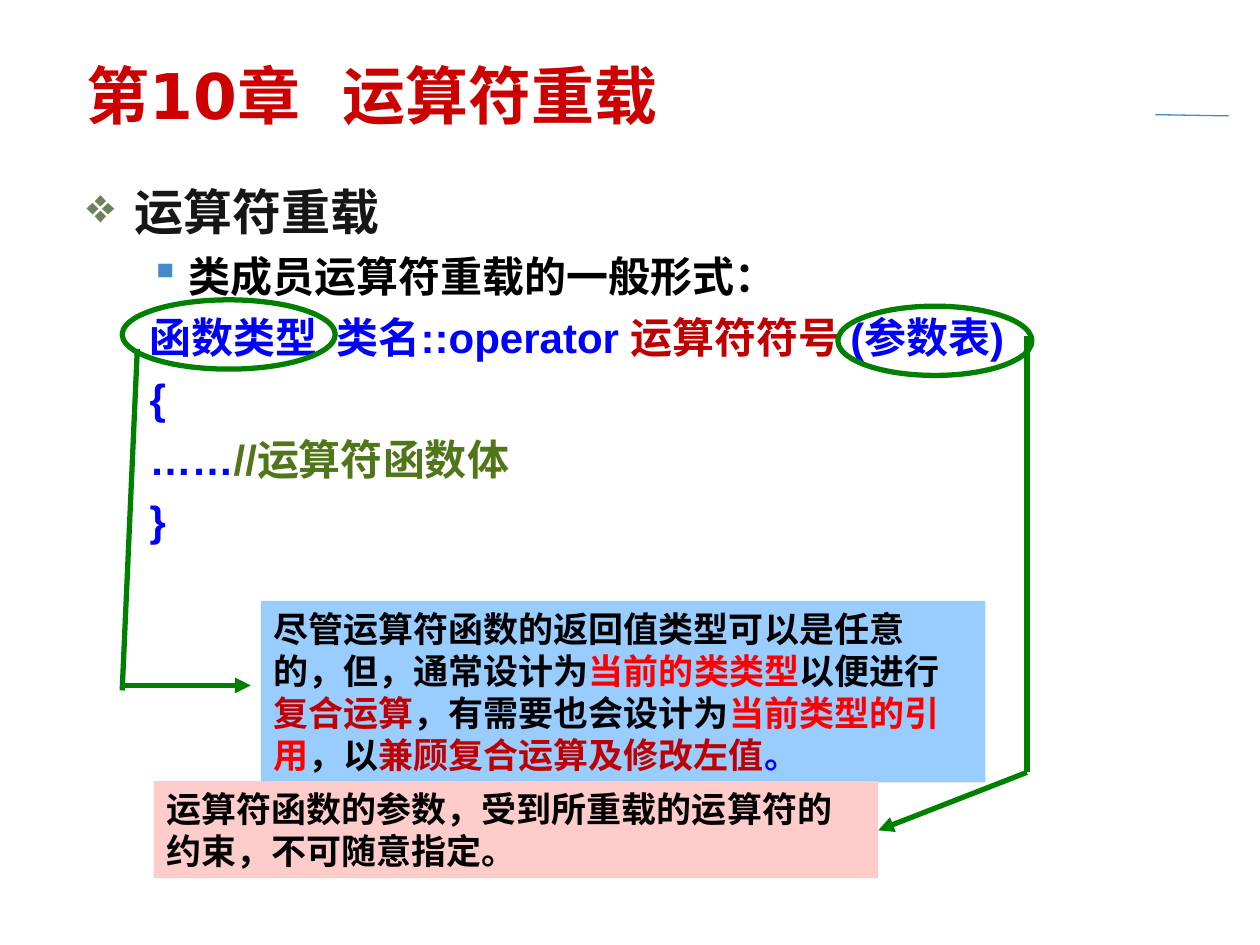
from lxml.etree import SubElement
from pptx import Presentation
from pptx.dml.color import RGBColor
from pptx.enum.shapes import MSO_CONNECTOR, MSO_SHAPE
from pptx.enum.text import MSO_ANCHOR, PP_ALIGN
from pptx.oxml.ns import qn
from pptx.util import Inches, Pt

BLACK = RGBColor(0x00, 0x00, 0x00)
CHARCOAL = RGBColor(0x16, 0x16, 0x16)
BLUE = RGBColor(0x00, 0x00, 0xFF)
RED = RGBColor(0xFF, 0x00, 0x00)
DARK_RED = RGBColor(0xC0, 0x00, 0x00)
TITLE_RED = RGBColor(0xCC, 0x00, 0x00)
OLIVE = RGBColor(0x50, 0x76, 0x19)
SAGE = RGBColor(0x6E, 0x81, 0x5B)
STEEL = RGBColor(0x43, 0x8A, 0xCB)
GREEN = RGBColor(0x00, 0x80, 0x00)
SKY = RGBColor(0x99, 0xCC, 0xFF)
PINK = RGBColor(0xFF, 0xCC, 0xCC)

TITLE = {"name": "DejaVu Sans", "size": Pt(36), "bold": True}
HEADING = {"name": "DejaVu Sans", "size": Pt(28), "bold": True}
CODE = {"name": "Arial", "size": Pt(24), "bold": True}
NOTE = {"name": "Arial", "size": Pt(20), "bold": True}
FRAME = {
    "word_wrap": True,
    "margin_left": Inches(0.1),
    "margin_right": Inches(0.1),
    "margin_top": Inches(0.05),
    "margin_bottom": Inches(0.05),
}


class SlideBuilder:
    """Draws styled elements on the current slide."""

    def __init__(self, slide):
        self.slide = slide

    def apply(self, target, values):
        for name, value in values.items():
            setattr(target, name, value)

    def paragraph(self, frame, runs, style, before=0, margin=0, indent=0, bullet=None):
        paragraph = frame.paragraphs[0]
        if paragraph.runs:
            paragraph = frame.add_paragraph()
        self.apply(paragraph, {"alignment": PP_ALIGN.LEFT, "space_before": Pt(before)})
        properties = paragraph._p.get_or_add_pPr()
        properties.set("marL", str(Inches(margin)))
        properties.set("indent", str(Inches(indent)))
        properties.set("hangingPunct", "0")
        if bullet:
            character, color = bullet
            bullet_color = SubElement(properties, qn("a:buClr"))
            SubElement(bullet_color, qn("a:srgbClr"), val=str(color))
            SubElement(properties, qn("a:buFont"), typeface="OpenSymbol")
            SubElement(properties, qn("a:buChar"), char=character)
        else:
            SubElement(properties, qn("a:buNone"))
        for text, color, *spacing in runs:
            run = paragraph.add_run()
            run.text = text
            self.apply(run.font, style)
            run.font.color.rgb = color
            for points in spacing:
                run._r.get_or_add_rPr().set("spc", str(round(points * 100)))

    def text_box(self, left, top, width, height, anchor=MSO_ANCHOR.TOP):
        shape = self.slide.shapes.add_textbox(
            Inches(left), Inches(top), Inches(width), Inches(height))
        self.apply(shape.text_frame, {**FRAME, "vertical_anchor": anchor})
        return shape.text_frame

    def note(self, left, top, width, height, fill, runs):
        shape = self.slide.shapes.add_shape(
            MSO_SHAPE.RECTANGLE, Inches(left), Inches(top), Inches(width), Inches(height))
        shape.shadow.inherit = False
        shape.fill.solid()
        shape.fill.fore_color.rgb = fill
        shape.line.fill.background()
        self.apply(shape.text_frame, {**FRAME, "vertical_anchor": MSO_ANCHOR.TOP})
        self.paragraph(shape.text_frame, runs, NOTE)

    def ring(self, left, top, width, height):
        shape = self.slide.shapes.add_shape(
            MSO_SHAPE.OVAL, Inches(left), Inches(top), Inches(width), Inches(height))
        shape.shadow.inherit = False
        shape.fill.background()
        shape.line.color.rgb = GREEN
        shape.line.width = Pt(3)

    def line(self, start, end, color=GREEN, width=3, arrow=False):
        connector = self.slide.shapes.add_connector(
            MSO_CONNECTOR.STRAIGHT, *(Inches(value) for value in (*start, *end)))
        connector.line.color.rgb = color
        connector.line.width = Pt(width)
        if arrow:
            SubElement(connector.line._get_or_add_ln(), qn("a:tailEnd"), type="triangle")
        SubElement(connector._element.spPr, qn("a:effectLst"))


def main():
    presentation = Presentation()
    presentation.slide_width = Inches(10)
    presentation.slide_height = Inches(7.5)
    slide = presentation.slides.add_slide(presentation.slide_layouts[6])
    builder = SlideBuilder(slide)

    builder.line((9.17, 0.91), (9.75, 0.92), STEEL, 0.75)

    body = builder.text_box(0.59, 1.39, 9.14, 5.36)
    builder.paragraph(body, [("运算符重载", CHARCOAL)], HEADING,
                      margin=0.38, indent=-0.38, bullet=("❖", SAGE))
    builder.paragraph(body, [("类成员运算符重载的一般形式：", BLACK)], CODE, before=6,
                      margin=0.81, indent=-0.31, bullet=("▪", STEEL))
    code_lines = [
        [("函数类型", BLUE), (" ", BLUE, 5.4), ("类名::operator ", BLUE),
         ("运算符符号 ", DARK_RED), ("(参数表)", BLUE)],
        [("{", BLUE)],
        [("……", BLUE), ("//运算符函数体", OLIVE)],
        [("}", BLUE)],
    ]
    for runs in code_lines:
        builder.paragraph(body, runs, CODE, before=6, margin=0.5)

    builder.ring(0.97, 2.38, 1.69, 0.55)
    builder.line((1.09, 2.77), (0.97, 5.48))
    builder.line((0.97, 5.44), (1.99, 5.44), arrow=True)
    builder.note(2.07, 4.77, 5.75, 1.44, SKY, [
        ("尽管运算符函数的返回值类型可以是任意的，但，通常设计为", BLACK),
        ("当前的类类型", RED),
        ("以便进行", BLACK),
        ("复合运算", DARK_RED),
        ("，有需要也会设计为", BLACK),
        ("当前类型的引用", RED),
        ("，以", BLACK),
        ("兼顾复合运算及修改左值", DARK_RED),
        ("。", BLUE),
    ])

    builder.ring(6.65, 2.43, 1.54, 0.55)
    builder.line((8.15, 2.67), (8.15, 6.13))
    builder.line((8.15, 6.13), (6.97, 6.59), arrow=True)
    builder.note(1.22, 6.2, 5.75, 0.77, PINK, [
        ("运算符函数的参数，受到所重载的运算符的约束，不可随意指定。", BLACK),
    ])

    title = builder.text_box(0.59, 0.44, 7.49, 0.62, MSO_ANCHOR.MIDDLE)
    builder.paragraph(title, [("第10章", TITLE_RED), (" ", TITLE_RED, 16),
                              ("运算符重载", TITLE_RED)], TITLE)

    presentation.save("out.pptx")


if __name__ == "__main__":
    main()
